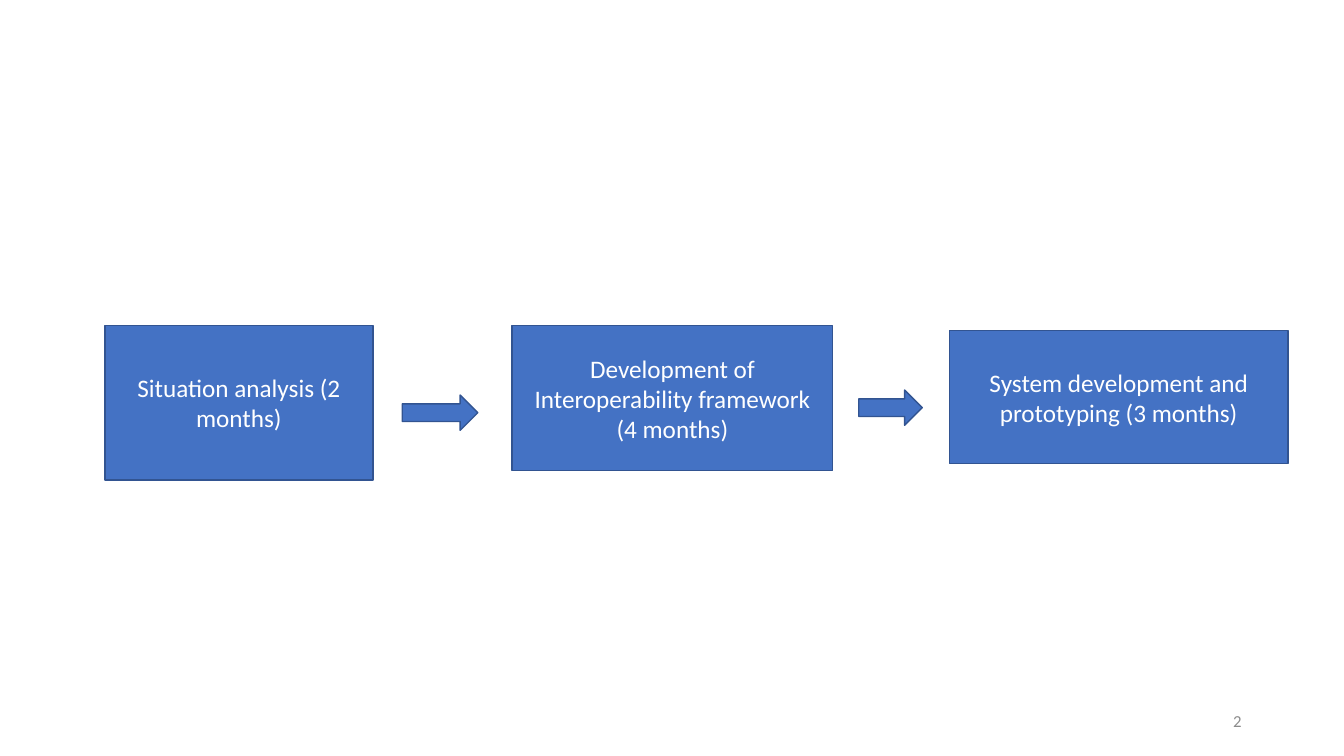
from pptx import Presentation
from pptx.dml.color import RGBColor as Rgb
from pptx.enum.shapes import MSO_SHAPE as Kind
from pptx.enum.text import MSO_ANCHOR as Anchor, PP_ALIGN as Align
from pptx.util import Pt

HUES = {"fill": "4472C4", "edge": "325491", "text": "FFFFFF", "page": "8C8C8C"}
STEPS = [
    ("Situation analysis (2 months)", (74.9, 232.6, 191.5, 110.2)),
    ("Development of Interoperability framework (4 months)", (365.8, 232.6, 229, 103.7)),
    ("System development and prototyping (3 months)", (678.2, 236.2, 241.9, 95)),
]
ARROWS = [(287.3, 282.2, 54, 25.2), (613.4, 278.6, 45.4, 25.2)]


def hue(name):
    """Return the named colour."""
    return Rgb.from_string(HUES[name])


def write(shape, text, size=18, color="text", align=Align.CENTER):
    """Put formatted text in the middle of a shape."""
    frame = shape.text_frame
    frame.word_wrap = True
    frame.vertical_anchor = Anchor.MIDDLE
    para = frame.paragraphs[0]
    para.alignment = align
    run = para.add_run()
    run.text = text
    run.font.name = "Calibri"
    run.font.size = Pt(size)
    run.font.color.rgb = hue(color)


def block(slide, kind, area):
    """Add a filled and outlined shape."""
    shape = slide.shapes.add_shape(kind, *map(Pt, area))
    shape.shadow.inherit = False
    shape.fill.solid()
    shape.fill.fore_color.rgb = hue("fill")
    shape.line.color.rgb = hue("edge")
    shape.line.width = Pt(1)
    return shape


def label(slide, text, area, **style):
    """Add a text box."""
    write(slide.shapes.add_textbox(*map(Pt, area)), text, **style)


def main():
    """Build and save the slide."""
    deck = Presentation()
    deck.slide_width, deck.slide_height = Pt(960), Pt(540)
    slide = deck.slides.add_slide(deck.slide_layouts[6])
    label(slide, "2", (678, 500.5, 216, 28.75), size=12, color="page", align=Align.RIGHT)
    for text, area in STEPS:
        write(block(slide, Kind.RECTANGLE, area), text)
    for area in ARROWS:
        block(slide, Kind.RIGHT_ARROW, area)
    deck.save("out.pptx")


if __name__ == "__main__":
    main()
